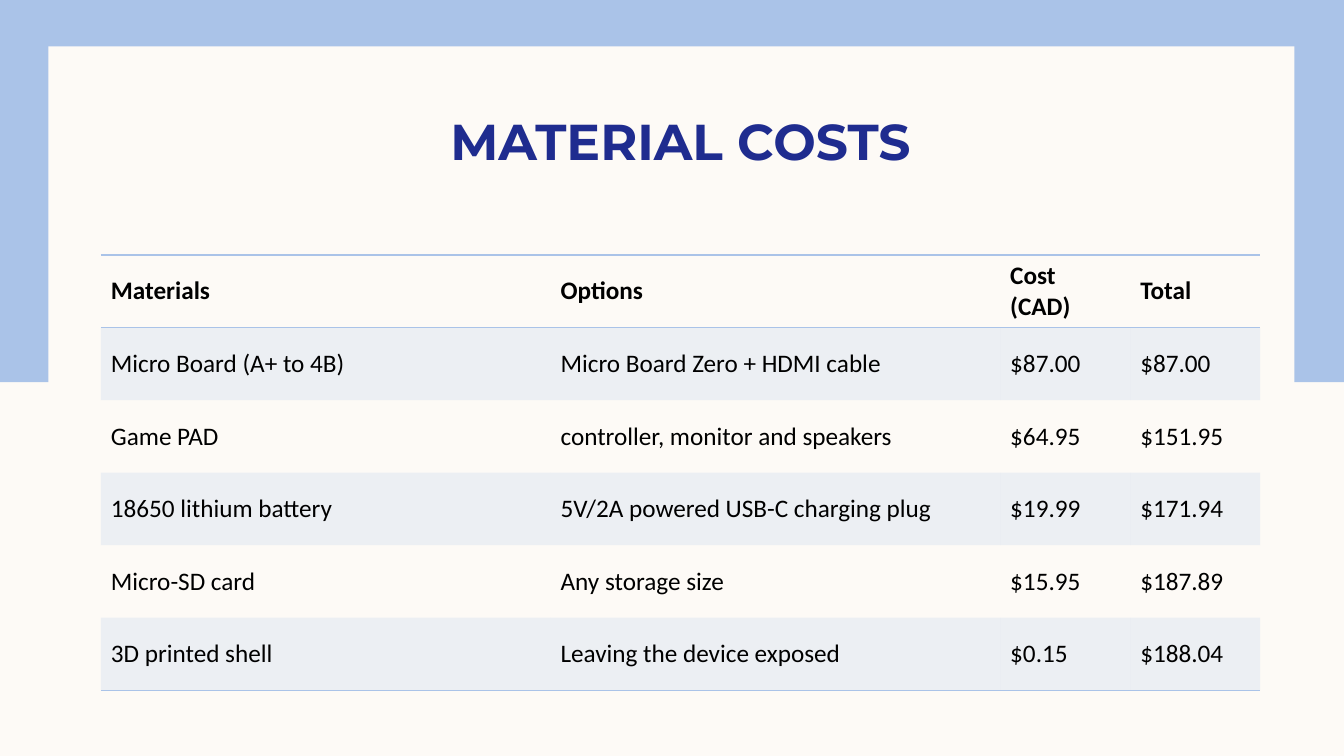
import pptx
import pptx.dml.color
import pptx.enum.shapes
import pptx.enum.text
import pptx.oxml
import pptx.oxml.ns
import pptx.util
from pptx.util import Inches

RGB = pptx.dml.color.RGBColor.from_string
ANCHOR = pptx.enum.text.MSO_ANCHOR
NS = pptx.oxml.ns.nsdecls("a")

theme = {
    "cream": "FDFAF6",
    "blue": "AAC3E8",
    "band_alpha": 20,
    "border_pt": 1,
    "title": {"name": "Montserrat", "size": pptx.util.Pt(36), "bold": True},
    "title_color": "1F2C8F",
    "cell": {"name": "Calibri", "size": pptx.util.Pt(18)},
    "cell_color": "000000",
}
NO_GRID_STYLE = "{2D5ABB26-0587-4C30-8999-92F81FD0307C}"


def set_font(font, values, color):
    for name, value in values.items():
        setattr(font, name, value)
    font.color.rgb = RGB(color)


def add_border(cell, side):
    width = pptx.util.Pt(theme["border_pt"])
    cell._tc.get_or_add_tcPr().append(pptx.oxml.parse_xml(
        f'<a:{side} {NS} w="{width}"><a:solidFill><a:srgbClr val="{theme["blue"]}"/>'
        f'</a:solidFill></a:{side}>'))


prs = pptx.Presentation()
prs.slide_width, prs.slide_height = Inches(13.33), Inches(7.5)
s = prs.slides.add_slide(prs.slide_layouts[6])

# Background, blue band and cream panel
s.background.fill.solid()
s.background.fill.fore_color.rgb = RGB(theme["cream"])
for box, color in [((-0.03, 0, 13.36, 3.79), "blue"),
                   ((0.48, 0.46, 12.36, 6.59), "cream")]:
    sp = s.shapes.add_shape(pptx.enum.shapes.MSO_SHAPE.RECTANGLE, *map(Inches, box))
    sp.shadow.inherit = False
    sp.fill.solid()
    sp.fill.fore_color.rgb = RGB(theme[color])
    sp.line.fill.background()

# Title, raised from the box bottom by its inset
sp = s.shapes.add_textbox(Inches(1), Inches(0.65), Inches(11.5), Inches(1.61))
tf = sp.text_frame
for name, value in {"word_wrap": True, "vertical_anchor": ANCHOR.BOTTOM,
                    "margin_top": 0, "margin_bottom": Inches(0.57)}.items():
    setattr(tf, name, value)
p = tf.paragraphs[0]
p.alignment = pptx.enum.text.PP_ALIGN.CENTER
r = p.add_run()
r.text = "MATERIAL COSTS"
set_font(r.font, theme["title"], theme["title_color"])

# Cost table
rows = [
    ("Materials", "Options", "Cost (CAD)", "Total"),
    ("Micro Board (A+ to 4B)", "Micro Board Zero + HDMI cable", "$87.00", "$87.00"),
    ("Game PAD", "controller, monitor and speakers", "$64.95", "$151.95"),
    ("18650 lithium battery", "5V/2A powered USB-C charging plug", "$19.99", "$171.94"),
    ("Micro-SD card", "Any storage size", "$15.95", "$187.89"),
    ("3D printed shell", "Leaving the device exposed", "$0.15", "$188.04"),
]
widths = [4.46, 4.46, 1.29, 1.29]
row_height = 0.72
table = s.shapes.add_table(len(rows), len(widths), Inches(1), Inches(2.53),
                           Inches(sum(widths)), Inches(row_height * len(rows))).table
table.horz_banding = False
table._tbl.tblPr.find(pptx.oxml.ns.qn("a:tableStyleId")).text = NO_GRID_STYLE
for column, width in zip(table.columns, widths):
    column.width = Inches(width)

for i, texts in enumerate(rows):
    table.rows[i].height = Inches(row_height)
    for j, text in enumerate(texts):
        cell = table.cell(i, j)
        cell.vertical_anchor = ANCHOR.MIDDLE
        r = cell.text_frame.paragraphs[0].add_run()
        r.text = text
        set_font(r.font, {**theme["cell"], "bold": i == 0}, theme["cell_color"])

        # Lines frame the header and close the table
        if i == 0:
            add_border(cell, "lnT")
        if i in (0, len(rows) - 1):
            add_border(cell, "lnB")

        # Odd rows carry a transparent band
        if i % 2:
            cell.fill.solid()
            cell.fill.fore_color.rgb = RGB(theme["blue"])
            color = cell._tc.tcPr.find(pptx.oxml.ns.qn("a:solidFill"))[0]
            color.append(pptx.oxml.parse_xml(
                f'<a:alpha {NS} val="{theme["band_alpha"] * 1000}"/>'))
        else:
            cell.fill.background()

prs.save("out.pptx")
